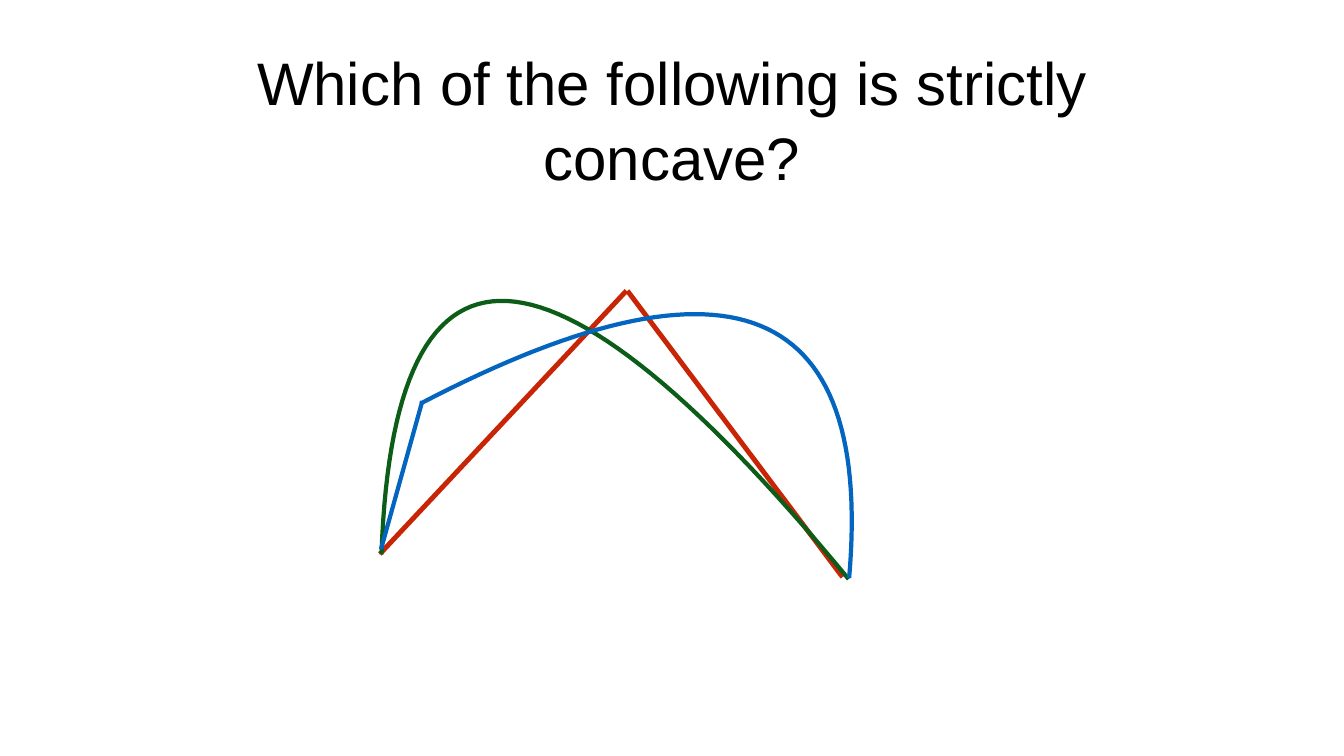
from pptx import Presentation
from pptx.dml.color import RGBColor
from pptx.enum.shapes import MSO_CONNECTOR as Connector
from pptx.enum.text import MSO_ANCHOR as Anchor, MSO_AUTO_SIZE as AutoSize, PP_ALIGN as Align
from pptx.util import Inches, Pt
from lxml.etree import SubElement
from pptx.oxml.ns import qn

THEME = {
    "font": "Arial",
    "title_size": Pt(85.7),
    "text": RGBColor.from_string("000000"),
    "red": RGBColor.from_string("C82506"),
    "green": RGBColor.from_string("0B5D18"),
    "blue": RGBColor.from_string("0365C0"),
    "thick": Pt(7),
    "normal": Pt(6),
}
STEPS = 60


def add_segment(s, start, end, color, width):
    ends = [Inches(v) for v in (*start, *end)]
    line = s.shapes.add_connector(Connector.STRAIGHT, *ends)
    line.line.color.rgb = THEME[color]
    line.line.width = THEME[width]
    SubElement(line._element.spPr, qn("a:effectLst"))


def add_curve(s, controls, color):
    points = []
    for i in range(STEPS + 1):
        t = i / STEPS
        weights = ((1 - t) ** 3, 3 * t * (1 - t) ** 2, 3 * t * t * (1 - t), t ** 3)
        points.append([Inches(sum(w * c[axis] for w, c in zip(weights, controls))) for axis in (0, 1)])
    builder = s.shapes.build_freeform(*points[0])
    builder.add_line_segments(points[1:], close=False)
    curve = builder.convert_to_shape()
    curve.shadow.inherit = False
    curve.fill.background()
    curve.line.color.rgb = THEME[color]
    curve.line.width = THEME["normal"]


prs = Presentation()
prs.slide_width, prs.slide_height = Inches(26.67), Inches(15)
s = prs.slides.add_slide(prs.slide_layouts[5])

title = s.shapes.title
title.left, title.top = Inches(4.8), Inches(0.68)
title.width, title.height = Inches(17.07), Inches(3.32)
tf = title.text_frame
tf.text = "Which of the following is strictly concave?"
tf.word_wrap = True
tf.auto_size = AutoSize.NONE
tf.vertical_anchor = Anchor.MIDDLE
tf.margin_left = tf.margin_right = tf.margin_top = tf.margin_bottom = Inches(0.08)
p = tf.paragraphs[0]
p.alignment = Align.CENTER
p.line_spacing = 1.04
p.font.name = THEME["font"]
p.font.size = THEME["title_size"]
p.font.color.rgb = THEME["text"]

add_segment(s, (7.54, 10.99), (12.43, 5.77), "red", "thick")
add_segment(s, (16.72, 11.45), (12.45, 5.77), "red", "thick")
add_curve(s, [(7.57, 11), (7.81, 4.13), (10.9, 4.3), (16.84, 11.49)], "green")
add_segment(s, (7.56, 10.9), (8.38, 7.96), "blue", "normal")
add_curve(s, [(8.34, 8.01), (14.5, 4.79), (17.33, 5.95), (16.85, 11.47)], "blue")

prs.save("out.pptx")
